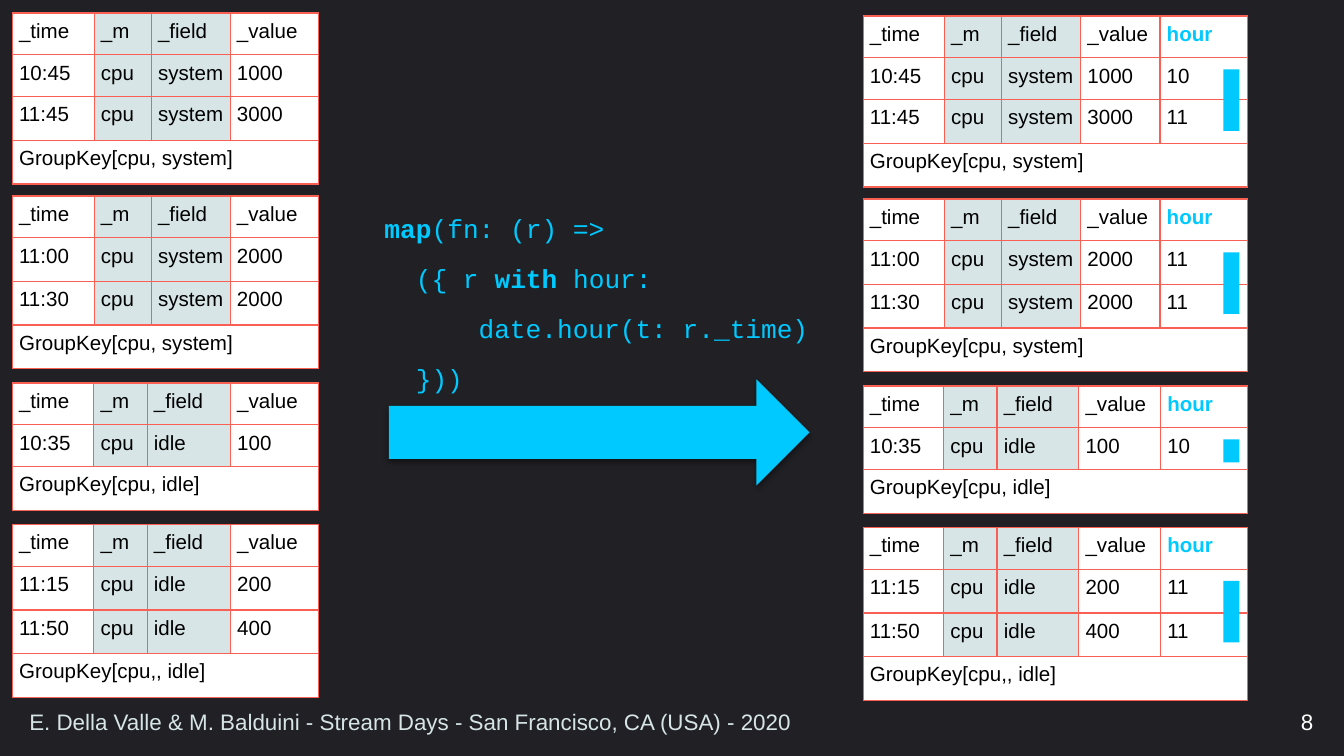
from collections import namedtuple

from lxml.etree import SubElement
from pptx import Presentation
from pptx.dml.color import RGBColor
from pptx.enum.shapes import MSO_SHAPE as Shape
from pptx.enum.text import MSO_ANCHOR as Anchor, PP_ALIGN as Align
from pptx.oxml import parse_xml
from pptx.oxml.ns import nsdecls, qn
from pptx.util import Pt

INK = RGBColor(0x20, 0x20, 0x25)
CYAN = RGBColor(0x00, 0xC9, 0xFF)
MIST = RGBColor(0xD7, 0xE5, 0xE6)
CORAL = RGBColor(0xF9, 0x5F, 0x53)
WHITE = RGBColor(0xFF, 0xFF, 0xFF)
BLACK = RGBColor(0x00, 0x00, 0x00)

Box = namedtuple("Box", "left top width height")
Group = namedtuple("Group", "top key field rows short_rows")

GROUPS = [
    Group(0, "cpu, system", "system", [("10:45", "1000"), ("11:45", "3000")], 2),
    Group(98, "cpu, system", "system", [("11:00", "2000"), ("11:30", "2000")], 1),
    Group(198.2, "cpu, idle", "idle", [("10:35", "100")], 2),
    Group(274, "cpu,, idle", "idle", [("11:15", "200"), ("11:50", "400")], 1),
]
INPUT_WIDTHS = {"system": (43.9, 30.6, 42.3, 47.2), "idle": (43.7, 28.6, 44.6, 47.1)}
OUTPUT_WIDTHS = {"system": (43.6, 30.5, 42.5, 42.5, 46.7),
                 "idle": (43.2, 28.6, 43.8, 43.8, 46.4)}
HEADER = ["_time", "_m", "_field", "_value"]
SHORT_ROW, TALL_ROW = 22.4, 23.4
CODE = [
    [("map", True), ("(fn: (r) =>", False)],
    [("  ({ r ", False), ("with", True), (" hour:", False)],
    [("      date.hour(t: r._time)", False)],
    [("  }))", False)],
]


def add_span(para, text, size, color, name="Arial", bold=False):
    """Add one formatted run."""
    span = para.add_run()
    span.text = text
    font = span.font
    font.name, font.size, font.bold = name, Pt(size), bold
    font.color.rgb = color


def add_solid(page, kind, box):
    """Add a plain cyan shape."""
    solid = page.shapes.add_shape(kind, *map(Pt, box))
    solid.shadow.inherit = False
    solid.fill.solid()
    solid.fill.fore_color.rgb = CYAN
    solid.line.fill.background()
    return solid


def add_text_box(page, box):
    """Add a wrapping text box and return its frame."""
    frame = page.shapes.add_textbox(*map(Pt, box)).text_frame
    frame.word_wrap = True
    return frame


def style_cell(cell, color):
    """Give a cell its insets, borders and fill."""
    cell.margin_left = cell.margin_right = Pt(3.6)
    cell.margin_top = cell.margin_bottom = Pt(3.6)
    properties = cell._tc.get_or_add_tcPr()
    for side in ("a:lnL", "a:lnR", "a:lnT", "a:lnB"):
        border = SubElement(properties, qn(side), w=str(Pt(0.75)))
        fill = SubElement(border, qn("a:solidFill"))
        SubElement(fill, qn("a:srgbClr"), val=str(CORAL))
    cell.fill.solid()
    cell.fill.fore_color.rgb = color


def draw_group(page, left, top, group, widths):
    """Draw one grouped table, with the hour column if it has five widths."""
    with_hour = len(widths) > len(HEADER)
    lines = [HEADER + ["hour"]]
    lines += [[time, "cpu", group.field, value, time[:2]] for time, value in group.rows]
    lines.append([f"GroupKey[{group.key}]"] + [""] * len(HEADER))
    heights = [SHORT_ROW if row < group.short_rows else TALL_ROW for row in range(len(lines))]
    table = page.shapes.add_table(len(lines), len(widths), Pt(left), Pt(top),
                                  Pt(sum(widths)), Pt(sum(heights))).table
    table.first_row = table.horz_banding = False
    for column, width in zip(table.columns, widths):
        column.width = Pt(width)
    last = len(lines) - 1
    for row, (line, height) in enumerate(zip(lines, heights)):
        table.rows[row].height = Pt(height)
        for column, text in enumerate(line[:len(widths)]):
            cell = table.cell(row, column)
            style_cell(cell, MIST if column in (1, 2) and row < last else WHITE)
            if text:
                is_new = text == "hour"
                add_span(cell.text_frame.paragraphs[0], text, 11,
                         CYAN if is_new else BLACK, bold=is_new)
    table.cell(last, 0).merge(table.cell(last, len(widths) - 1))
    if with_hour:
        marker_height = 33 if len(group.rows) == 2 else 12.4
        add_solid(page, Shape.RECTANGLE, Box(left + 193, top + 28.6, 8.6, marker_height))


def draw_panel(page, left, top, widths):
    """Draw the stack of grouped tables."""
    for group in GROUPS:
        draw_group(page, left, top + group.top, group, widths[group.field])


def draw_code(page, box):
    """Write the map call."""
    frame = add_text_box(page, box)
    for index, line in enumerate(CODE):
        para = frame.add_paragraph() if index else frame.paragraphs[0]
        para.line_spacing = 1.6
        for text, bold in line:
            add_span(para, text, 14, CYAN, "Courier New", bold)


def draw_arrow(page, box):
    """Draw the arrow with its soft shadow."""
    arrow = add_solid(page, Shape.RIGHT_ARROW, box)
    effects = arrow._element.spPr.find(qn("a:effectLst"))
    effects.append(parse_xml(
        f'<a:outerShdw {nsdecls("a")} blurRad="{Pt(3.1)}" dist="{Pt(1.6)}" dir="5400000" '
        'rotWithShape="0"><a:srgbClr val="000000"><a:alpha val="38000"/></a:srgbClr>'
        '</a:outerShdw>'))


def draw_footer(page, box):
    """Write the event line and the page number."""
    number_width = 162
    parts = [
        (Box(box.left, box.top, 536.4, box.height), Align.LEFT, MIST,
         "E. Della Valle & M. Balduini - Stream Days - San Francisco, CA (USA) - 2020"),
        (Box(box.left + box.width - number_width, box.top, number_width, box.height),
         Align.RIGHT, WHITE, "8"),
    ]
    for part, align, color, text in parts:
        frame = add_text_box(page, part)
        frame.vertical_anchor = Anchor.MIDDLE
        para = frame.paragraphs[0]
        para.alignment = align
        add_span(para, text, 12, color)


def main():
    """Build and save the deck."""
    deck = Presentation()
    deck.slide_width, deck.slide_height = Pt(720), Pt(405)
    page = deck.slides.add_slide(deck.slide_layouts[6])
    page.background.fill.solid()
    page.background.fill.fore_color.rgb = INK
    draw_arrow(page, Box(208.3, 203.2, 225.4, 56.9))
    draw_code(page, Box(198.9, 100, 275.8, 113))
    draw_footer(page, Box(8.6, 375.8, 702, 21))
    draw_panel(page, 6.6, 7, INPUT_WIDTHS)
    draw_panel(page, 462.4, 8.6, OUTPUT_WIDTHS)
    deck.save("out.pptx")


if __name__ == "__main__":
    main()
